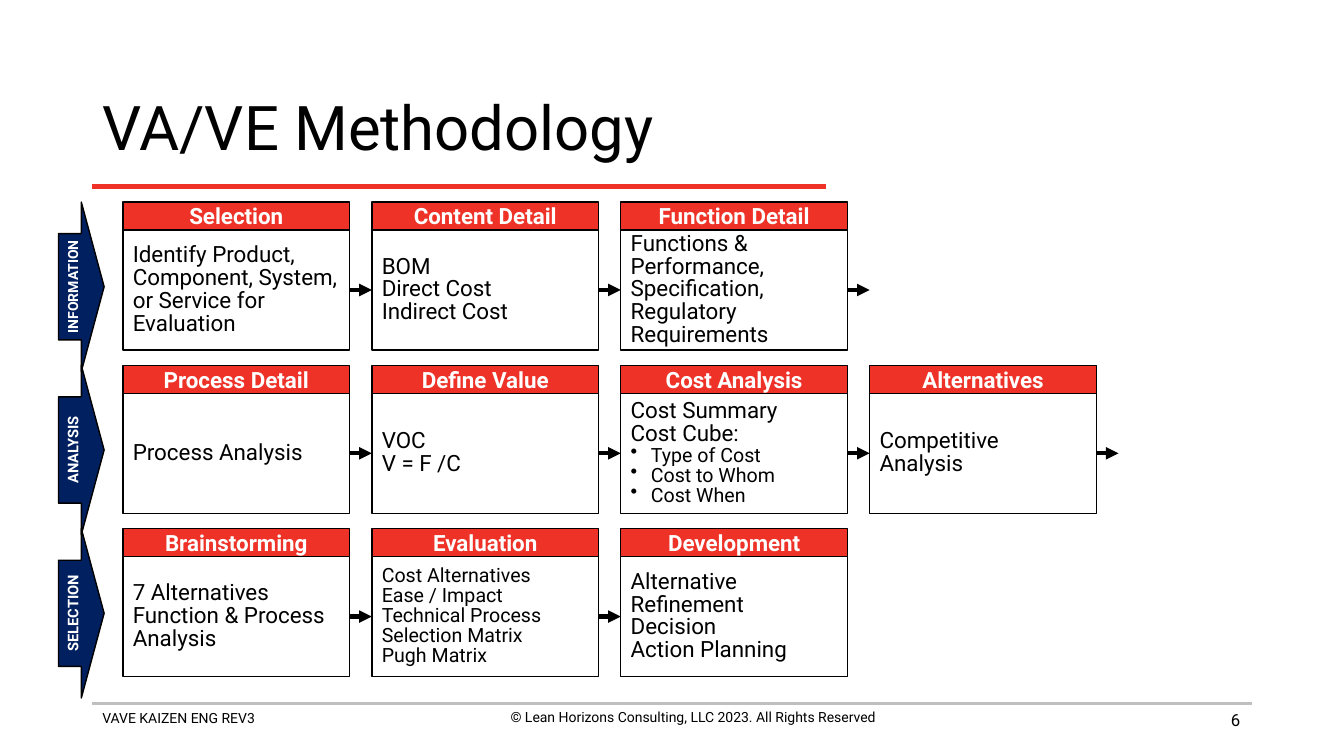
from dataclasses import dataclass

from lxml.etree import SubElement
from pptx import Presentation
from pptx.dml.color import RGBColor
from pptx.enum.shapes import MSO_CONNECTOR, MSO_SHAPE
from pptx.enum.text import MSO_ANCHOR as Anchor, PP_ALIGN as Align
from pptx.oxml.ns import qn
from pptx.util import Pt


@dataclass(frozen=True)
class Theme:
    font: str = "Roboto"
    black: RGBColor = RGBColor(0, 0, 0)
    white: RGBColor = RGBColor(255, 255, 255)
    red: RGBColor = RGBColor(0xEE, 0x32, 0x28)
    navy: RGBColor = RGBColor(0, 0x20, 0x60)
    gray: RGBColor = RGBColor(0xBF, 0xBF, 0xBF)
    title: float = 44
    text: float = 16
    detail: float = 14
    number: float = 12
    phase: float = 10.5
    small: float = 10


THEME = Theme()
SIDE_RIGHT, SIDE_LEFT = 3, 1
STEP_WIDTH, HEADER_HEIGHT, BODY_HEIGHT = 162, 20, 85.7
COLUMN_PITCH, ROW_PITCH = 177.8, 116.64
ARROW_LENGTH = COLUMN_PITCH - STEP_WIDTH
BULLET = "• "

# phase name, its text size, steps (heading, lines, text size), arrow after the last step
PHASES = [
    ("INFORMATION", THEME.small, [
        ("Selection", ["Identify Product, Component, System, or Service for Evaluation"], THEME.text),
        ("Content Detail", ["BOM", "Direct Cost", "Indirect Cost"], THEME.text),
        ("Function Detail", ["Functions & Performance, Specification, Regulatory Requirements"], THEME.text),
    ], True),
    ("ANALYSIS", THEME.phase, [
        ("Process Detail", ["Process Analysis"], THEME.text),
        ("Define Value", ["VOC", "V = F /C"], THEME.text),
        ("Cost Analysis", ["Cost Summary", "Cost Cube:", "• Type of Cost", "• Cost to Whom",
                           "• Cost When"], THEME.text),
        ("Alternatives", ["Competitive Analysis"], THEME.text),
    ], True),
    ("SELECTION", THEME.phase, [
        ("Brainstorming", ["7 Alternatives", "Function & Process Analysis"], THEME.text),
        ("Evaluation", ["Cost Alternatives", "Ease / Impact", "Technical Process",
                        "Selection Matrix", "Pugh Matrix"], THEME.detail),
        ("Development", ["Alternative Refinement", "Decision", "Action Planning"], THEME.text),
    ], False),
]


def add_run(paragraph, text, size, color=THEME.black, bold=False):
    run = paragraph.add_run()
    run.text = text
    run.font.name = THEME.font
    run.font.size = Pt(size)
    run.font.bold = bold
    run.font.color.rgb = color


def add_bullet(paragraph):
    properties = paragraph._p.get_or_add_pPr()
    properties.set("marL", str(Pt(14.4)))
    properties.set("indent", str(-Pt(14.4)))
    SubElement(properties, qn("a:buChar")).set("char", BULLET.strip())


def add_block(slide, preset, left, top, width, height, fill):
    """Add an outlined shape with middle-anchored text and no shadow."""
    shape = slide.shapes.add_shape(preset, Pt(left), Pt(top), Pt(width), Pt(height))
    shape.shadow.inherit = False
    shape.fill.solid()
    shape.fill.fore_color.rgb = fill
    shape.line.color.rgb = THEME.black
    shape.line.width = Pt(1)
    shape.text_frame.vertical_anchor = Anchor.MIDDLE
    return shape


def add_line(slide, x1, y1, x2, y2, color, width):
    line = slide.shapes.add_connector(MSO_CONNECTOR.STRAIGHT, Pt(x1), Pt(y1), Pt(x2), Pt(y2))
    line.line.color.rgb = color
    line.line.width = Pt(width)
    SubElement(line._element.spPr, qn("a:effectLst"))
    return line


def add_flow_arrow(slide, left, middle, source, target=None):
    arrow = add_line(slide, left, middle, left + ARROW_LENGTH, middle, THEME.black, 3)
    SubElement(arrow.line._get_or_add_ln(), qn("a:tailEnd")).set("type", "triangle")
    arrow.begin_connect(source, SIDE_RIGHT)
    if target is not None:
        arrow.end_connect(target, SIDE_LEFT)


def add_step(slide, left, top, heading, lines, size):
    """Draw a heading bar over a body box and return the body."""
    body = add_block(slide, MSO_SHAPE.RECTANGLE, left, top + HEADER_HEIGHT,
                     STEP_WIDTH, BODY_HEIGHT, THEME.white)
    frame = body.text_frame
    frame.word_wrap = True
    for index, line in enumerate(lines):
        paragraph = frame.add_paragraph() if index else frame.paragraphs[0]
        paragraph.alignment = Align.LEFT
        paragraph.line_spacing = 0.85
        bulleted = line.startswith(BULLET)
        if bulleted:
            add_bullet(paragraph)
        add_run(paragraph, line.removeprefix(BULLET), THEME.detail if bulleted else size)

    header = add_block(slide, MSO_SHAPE.RECTANGLE, left, top, STEP_WIDTH, HEADER_HEIGHT, THEME.red)
    header.text_frame.word_wrap = False
    paragraph = header.text_frame.paragraphs[0]
    paragraph.alignment = Align.CENTER
    add_run(paragraph, heading, THEME.text, THEME.white, True)
    return body


def add_phase_arrow(slide, left, top, name, size):
    arrow = add_block(slide, MSO_SHAPE.RIGHT_ARROW, left, top, 32.6, 121, THEME.navy)
    arrow.adjustments[0] = 0.627
    arrow.adjustments[1] = 0.5
    frame = arrow.text_frame
    frame.margin_left = frame.margin_right = frame.margin_top = frame.margin_bottom = 0
    frame.word_wrap = False
    frame._txBody.bodyPr.set("vert", "vert270")
    paragraph = frame.paragraphs[0]
    paragraph.alignment = Align.CENTER
    paragraph.line_spacing = 0.8
    add_run(paragraph, name, size, THEME.white, True)


def add_phase(slide, left, top, name, name_size, steps, continues):
    """Draw one row: the phase arrow, its steps and the arrows between them."""
    first_step = left + 46
    middle = top + HEADER_HEIGHT + BODY_HEIGHT / 2
    bodies = [add_step(slide, first_step + column * COLUMN_PITCH, top, *step)
              for column, step in enumerate(steps)]
    targets = bodies[1:] + ([None] if continues else [])
    for column, (source, target) in enumerate(zip(bodies, targets)):
        right = first_step + column * COLUMN_PITCH + STEP_WIDTH
        add_flow_arrow(slide, right, middle, source, target)
    add_phase_arrow(slide, left, top, name, name_size)


def add_title(slide, left, top, width, height):
    title = slide.shapes.title
    title.left, title.top, title.width, title.height = Pt(left), Pt(top), Pt(width), Pt(height)
    title.text_frame.vertical_anchor = Anchor.MIDDLE
    paragraph = title.text_frame.paragraphs[0]
    paragraph.alignment = Align.LEFT
    paragraph.line_spacing = 0.9
    add_run(paragraph, "VA/VE Methodology", THEME.title)
    rule = top + height + 0.7
    add_line(slide, left, rule, left + 524, rule, THEME.red, 3)


def add_footer(slide, left, top, width):
    add_line(slide, left, top, left + width, top, THEME.gray, 2)
    notes = [
        (0, 0.7, 328, 19.4, "VAVE KAIZEN ENG REV3", THEME.small, Align.LEFT),
        (265, 0, 328, 19.4, "© Lean Horizons Consulting, LLC 2023. All Rights Reserved",
         THEME.small, Align.CENTER),
        (width - 217, 0.9, 216, 19.4, "6", THEME.number, Align.RIGHT),
    ]
    for dx, dy, box_width, height, text, size, alignment in notes:
        box = slide.shapes.add_textbox(Pt(left + dx), Pt(top + dy), Pt(box_width), Pt(height))
        box.text_frame.word_wrap = True
        paragraph = box.text_frame.paragraphs[0]
        paragraph.alignment = alignment
        add_run(paragraph, text, size)


def main():
    presentation = Presentation()
    presentation.slide_width, presentation.slide_height = Pt(960), Pt(540)
    slide = presentation.slides.add_slide(presentation.slide_layouts[5])
    add_footer(slide, 66, 502.6, 828)
    add_title(slide, 66, 53.3, 828, 79.2)
    for row, phase in enumerate(PHASES):
        add_phase(slide, 41.8, 144.3 + row * ROW_PITCH, *phase)
    presentation.save("out.pptx")


if __name__ == "__main__":
    main()
